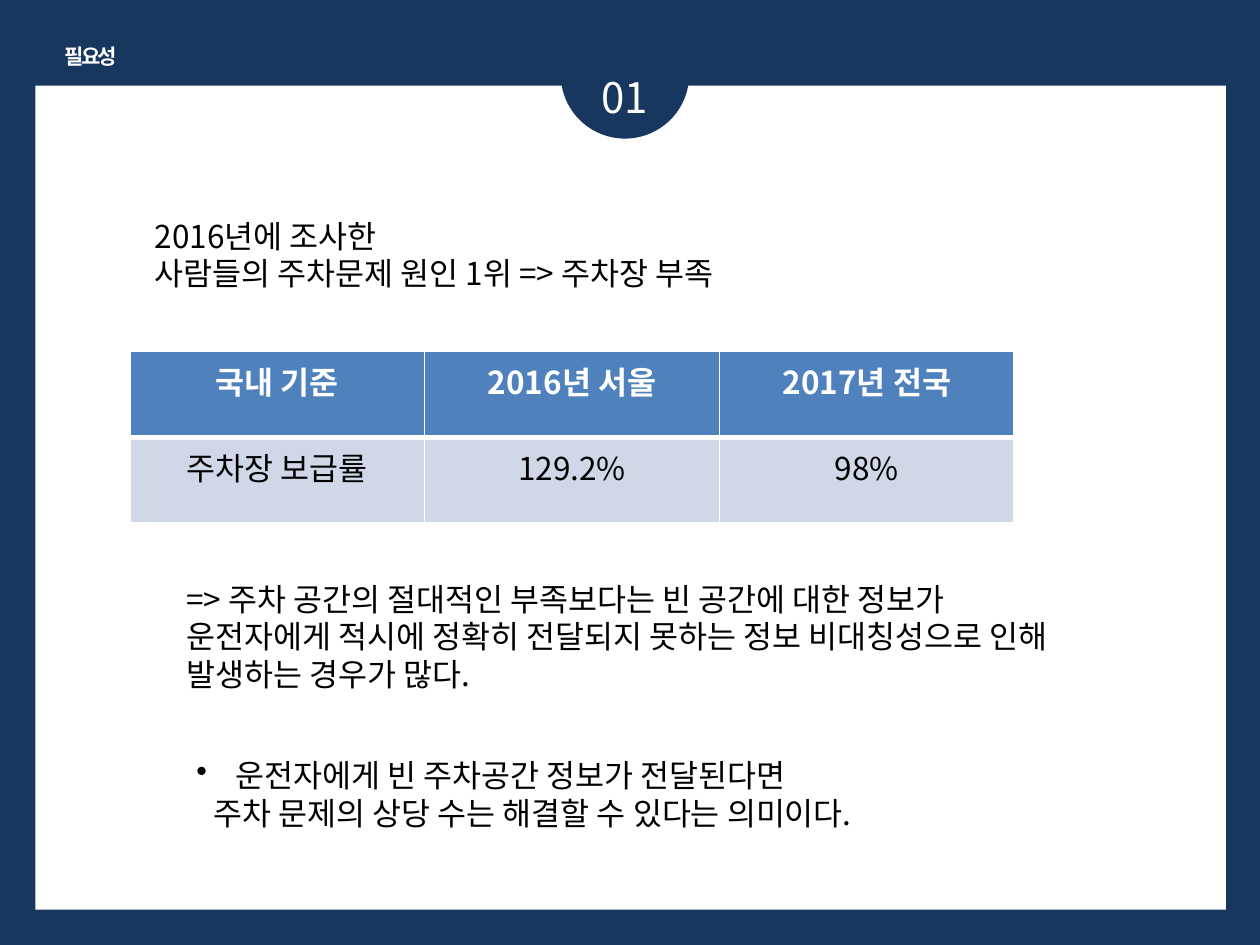
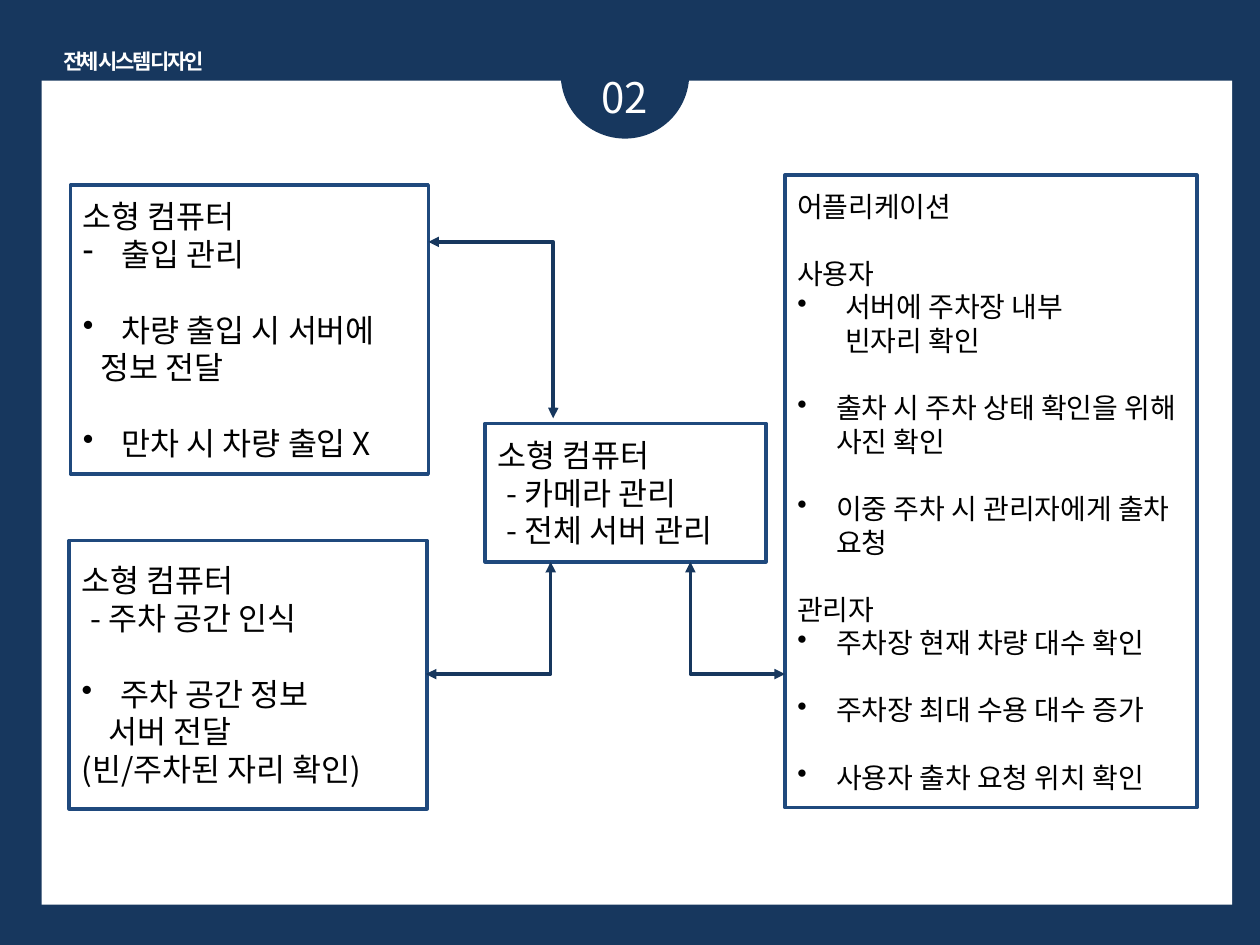
from pptx import Presentation
from pptx.dml.color import RGBColor
from pptx.enum.shapes import MSO_CONNECTOR as Connector, MSO_SHAPE as Shape
from pptx.enum.text import MSO_ANCHOR as Anchor, PP_ALIGN as Align
from pptx.oxml.ns import qn
from pptx.util import Inches, Pt
from lxml.etree import SubElement

COLORS = {
    "navy": "17375E", "white": "FFFFFF", "black": "000000",
    "outline": "1F497D", "header": "4F81BD", "row": "D0D8E8",
}
FONT = "Noto Sans CJK KR"


def color(name):
    return RGBColor.from_string(COLORS[name])


def write(frame, text, size=18, tone="black", bold=False, align=Align.LEFT,
          indent=0, bullet=None, blank_above=False, spacing=None):
    """Add one paragraph; the first call fills the empty one."""
    para = frame.paragraphs[0]
    if para.runs:
        para = frame.add_paragraph()
    para.text = text
    para.alignment = align
    props = para._p.get_or_add_pPr()
    if indent:
        props.set("marL", str(Inches(indent)))
    if bullet:
        props.set("indent", str(-Inches(indent)))
        SubElement(props, qn("a:buChar")).set("char", bullet)
    if blank_above:
        para.space_before = Pt(size * 1.2)
    for span in para.runs:
        span.font.size = Pt(size)
        span.font.bold = bold
        span.font.name = FONT
        span.font.color.rgb = color(tone)
        run_props = span._r.get_or_add_rPr()
        SubElement(run_props, qn("a:ea")).set("typeface", FONT)
        if spacing:
            run_props.set("spc", str(int(spacing * 100)))


deck = Presentation()
deck.slide_width, deck.slide_height = Inches(10), Inches(7.5)

# Shared frame: navy background, white panel, number badge, title
frames = [
    ("01", "필요성", (0.28, 0.68), (0.4, 0.3, 0.64, 0.3)),
    ("02", "전체 시스템 디자인", (0.33, 0.64), (0.33, 0.34, 1.46, 0.3)),
]
pages = []
for number, title, corner, title_place in frames:
    page = deck.slides.add_slide(deck.slide_layouts[6])
    page.background.fill.solid()
    page.background.fill.fore_color.rgb = color("navy")
    for kind, place, tone in [
        (Shape.RECTANGLE, (*corner, 9.45, 6.54), "white"),
        (Shape.OVAL, (4.45, 0.08, 1.02, 1.02), "navy"),
    ]:
        shape = page.shapes.add_shape(kind, *map(Inches, place))
        shape.shadow.inherit = False
        shape.fill.solid()
        shape.fill.fore_color.rgb = color(tone)
        shape.line.fill.background()
    box = page.shapes.add_textbox(*map(Inches, title_place))
    box.text_frame.word_wrap = False
    write(box.text_frame, title, size=12, tone="white", bold=True,
          align=Align.CENTER, spacing=-1.5)
    box = page.shapes.add_textbox(*map(Inches, (4.37, 0.52, 1.18, 0.5)))
    box.text_frame.word_wrap = True
    write(box.text_frame, number, size=24, tone="white", align=Align.CENTER)
    pages.append(page)
need_page, system_page = pages

# Need: parking supply table
rows = [["국내 기준", "2016년 서울", "2017년 전국"],
        ["주차장 보급률", "129.2%", "98%"]]
table = need_page.shapes.add_table(
    2, 3, *map(Inches, (1.03, 2.79, 7.02, 1.36))).table
for column in table.columns:
    column.width = Inches(2.34)
for r, texts in enumerate(rows):
    header = r == 0
    table.rows[r].height = Inches(0.68)
    for c, text in enumerate(texts):
        cell = table.cell(r, c)
        write(cell.text_frame, text, tone="white" if header else "black",
              bold=header, align=Align.CENTER)
        cell_props = cell._tc.get_or_add_tcPr()
        for side in "LRTB":
            thick = side == ("B" if header else "T")
            border = SubElement(cell_props, qn(f"a:ln{side}"),
                                w=str(Pt(3 if thick else 1)))
            fill = SubElement(border, qn("a:solidFill"))
            SubElement(fill, qn("a:srgbClr"), val=COLORS["white"])
        cell.fill.solid()
        cell.fill.fore_color.rgb = color("header" if header else "row")

# Need: statements around the table
statements = [
    ((1.13, 1.67, 5.75, 0.71), [
        ("2016년에 조사한", {}),
        ("사람들의 주차문제 원인 1위 => 주차장 부족", {})]),
    ((1.38, 4.55, 7.24, 1.01), [
        ("=> 주차 공간의 절대적인 부족보다는 빈 공간에 대한 정보가", {}),
        ("운전자에게 적시에 정확히 전달되지 못하는 정보 비대칭성으로 인해 "
         "발생하는 경우가 많다.", {})]),
    ((1.46, 5.95, 7.8, 1.01), [
        ("운전자에게 빈 주차공간 정보가 전달된다면",
         dict(indent=0.31, bullet="•")),
        ("주차 문제의 상당 수는 해결할 수 있다는 의미이다.",
         dict(indent=0.14))]),
]
for place, lines in statements:
    box = need_page.shapes.add_textbox(*map(Inches, place))
    box.text_frame.word_wrap = True
    for text, style in lines:
        write(box.text_frame, text, **style)

# System: component boxes
item = dict(indent=0.31, bullet="•")
spaced_item = dict(item, blank_above=True)
dash_line = dict(indent=0.07)
components = [
    ((6.23, 1.39, 3.27, 5.02), 16, [
        ("어플리케이션", {}),
        ("사용자", dict(blank_above=True)),
        ("서버에 주차장 내부\v빈자리 확인", dict(item, indent=0.38)),
        ("출차 시 주차 상태 확인을 위해 사진 확인", spaced_item),
        ("이중 주차 시 관리자에게 출차 요청", spaced_item),
        ("관리자", dict(blank_above=True)),
        ("주차장 현재 차량 대수 확인", item),
        ("주차장 최대 수용 대수 증가", spaced_item),
        ("사용자 출차 요청 위치 확인", spaced_item)]),
    ((0.56, 1.47, 2.84, 2.29), 18, [
        ("소형 컴퓨터", {}),
        ("출입 관리", dict(item, bullet="-")),
        ("차량 출입 시 서버에", spaced_item),
        ("정보 전달", dict(indent=0.14)),
        ("만차 시 차량 출입 X", spaced_item)]),
    ((0.55, 4.29, 2.84, 2.13), 18, [
        ("소형 컴퓨터", {}),
        ("- 주차 공간 인식", dash_line),
        ("주차 공간 정보", spaced_item),
        ("서버 전달", dict(indent=0.21)),
        ("(빈/주차된 자리 확인)", {})]),
    ((3.85, 3.36, 2.23, 1.1), 18, [
        ("소형 컴퓨터", {}),
        ("- 카메라 관리", dash_line),
        ("- 전체 서버 관리", dash_line)]),
]
for place, size, lines in components:
    box = system_page.shapes.add_shape(Shape.RECTANGLE, *map(Inches, place))
    box.shadow.inherit = False
    box.fill.background()
    box.line.color.rgb = color("outline")
    box.line.width = Pt(2)
    box.text_frame.word_wrap = True
    box.text_frame.vertical_anchor = Anchor.MIDDLE
    for text, style in lines:
        write(box.text_frame, text, size=size, **style)

# System: two-way elbow arrows, from each component to the server
for ends in [(3.4, 1.92, 4.39, 3.32),
             (3.38, 5.35, 4.37, 4.46),
             (6.23, 5.35, 5.48, 4.46)]:
    arrow = system_page.shapes.add_connector(
        Connector.ELBOW, *map(Inches, ends))
    arrow.line.color.rgb = color("navy")
    arrow.line.width = Pt(2)
    shape_props = arrow._element.spPr
    guides = shape_props.find(qn("a:prstGeom")).find(qn("a:avLst"))
    SubElement(guides, qn("a:gd"), name="adj1", fmla="val 100100")
    line = arrow.line._get_or_add_ln()
    for tip in ("a:headEnd", "a:tailEnd"):
        SubElement(line, qn(tip), type="triangle")
    SubElement(shape_props, qn("a:effectLst"))

deck.save("out.pptx")
